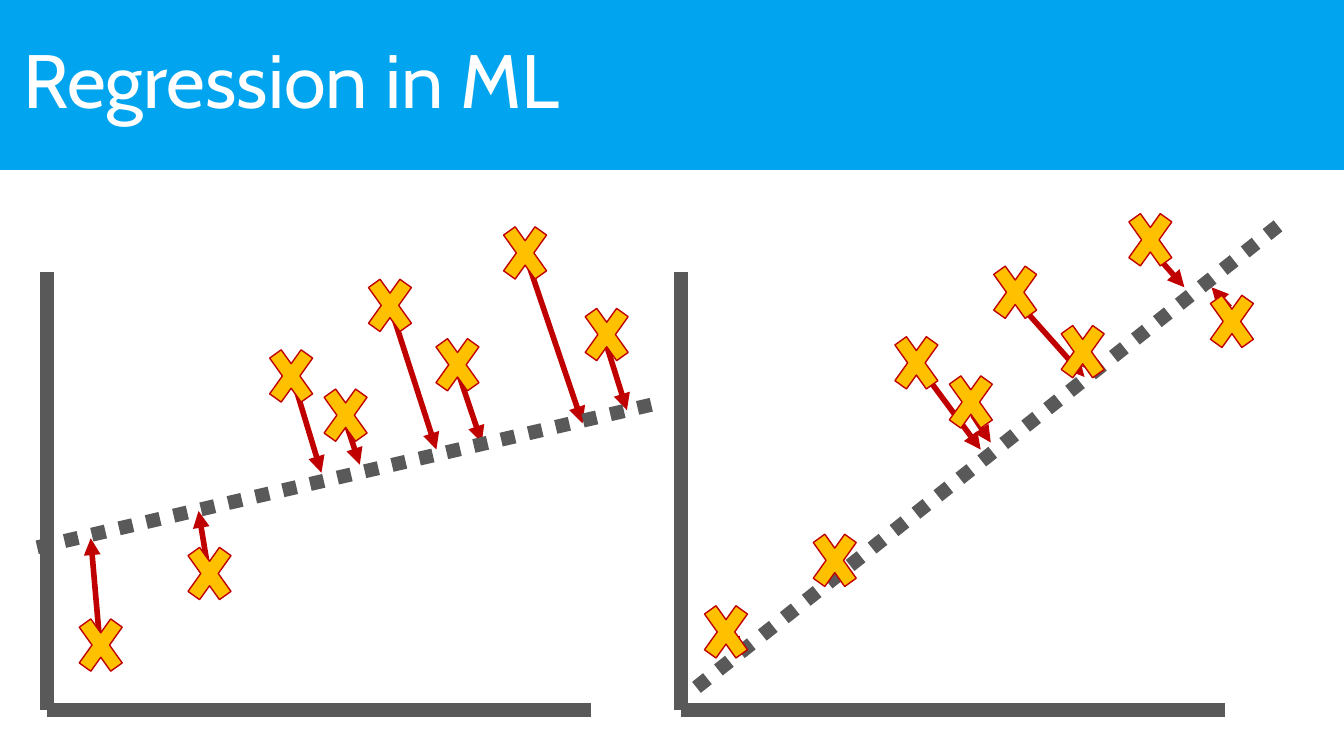
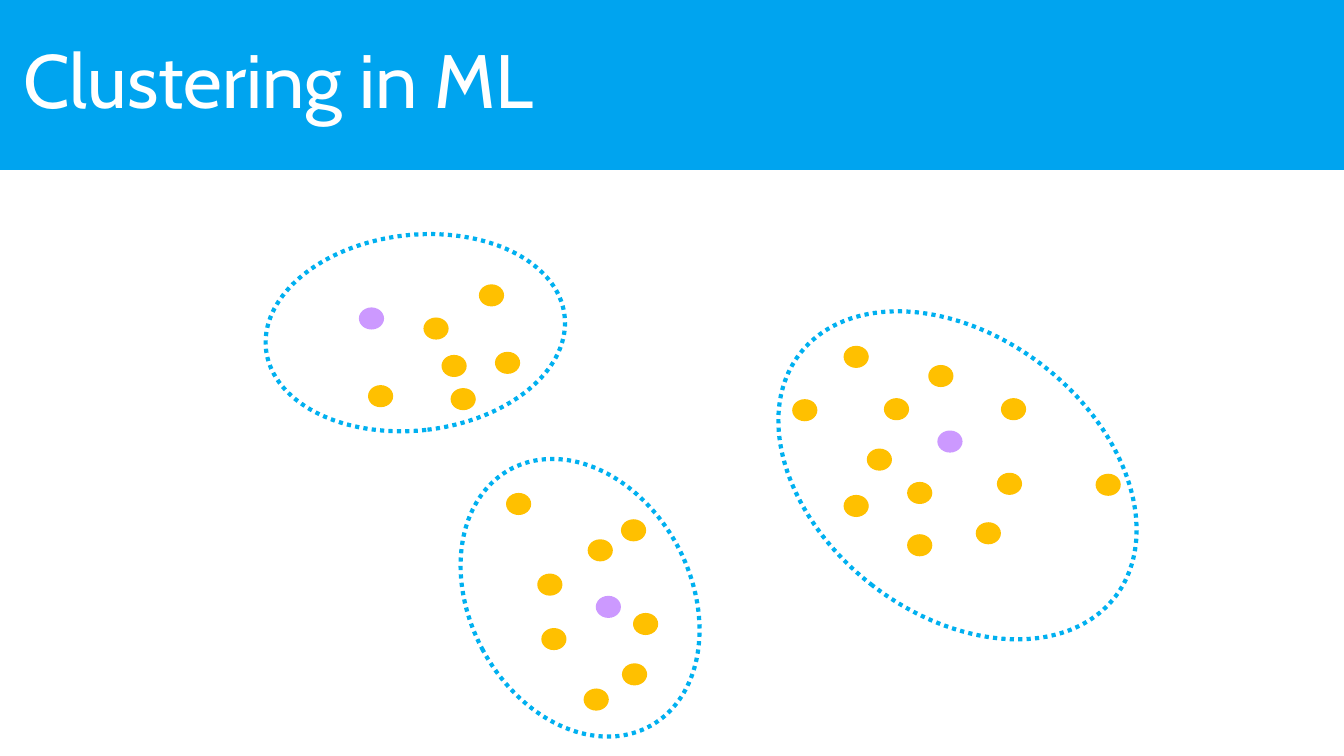
import pptx
import pptx.dml.color
import pptx.enum.dml
import pptx.enum.shapes
import pptx.enum.text
import pptx.oxml.ns
import pptx.util
from lxml import etree

Pt = pptx.util.Pt
RGB = pptx.dml.color.RGBColor
SHAPE = pptx.enum.shapes.MSO_SHAPE
DOTTED = pptx.enum.dml.MSO_LINE.ROUND_DOT

BLUE = RGB(0x00, 0xA4, 0xEF)
SKY = RGB(0x00, 0xB0, 0xF0)
WHITE = RGB(0xFF, 0xFF, 0xFF)
GREY = RGB(0x59, 0x59, 0x59)
RED = RGB(0xC0, 0x00, 0x00)
GOLD = RGB(0xFF, 0xC0, 0x00)
LILAC = RGB(0xCC, 0x99, 0xFF)

FONT = "Cabin"
WIDTH, HEIGHT = 960, 540
BAND_HEIGHT = 121
CROSS = (43.2, 60.5)
DOT = (18, 15.8)


# Shared drawing helpers
def add_shape(s, kind, box, fill=None, line=None, weight=1):
    sp = s.shapes.add_shape(kind, *map(Pt, box))
    sp.shadow.inherit = False
    if fill is None:
        sp.fill.background()
    else:
        sp.fill.solid()
        sp.fill.fore_color.rgb = fill
    if line is None:
        sp.line.fill.background()
    else:
        sp.line.color.rgb = line
        sp.line.width = Pt(weight)
    return sp


def add_centred(s, kind, x, y, size, **style):
    w, h = size
    return add_shape(s, kind, (x - w / 2, y - h / 2, w, h), **style)


def add_line(s, origin, ends, color, weight, dotted=False, arrow=False):
    left, top = origin
    x1, y1, x2, y2 = ends
    line = s.shapes.add_connector(
        pptx.enum.shapes.MSO_CONNECTOR.STRAIGHT,
        Pt(left + x1), Pt(top + y1), Pt(left + x2), Pt(top + y2))
    line.line.color.rgb = color
    line.line.width = Pt(weight)
    if dotted:
        line.line.dash_style = DOTTED
    qn = pptx.oxml.ns.qn
    if arrow:
        etree.SubElement(line.line._get_or_add_ln(), qn("a:tailEnd"), type="triangle")
    etree.SubElement(line._element.spPr, qn("a:effectLst"))


# Title band
def add_title(s, box, text):
    left, top, w, h = box
    add_shape(s, SHAPE.RECTANGLE, box, fill=BLUE, line=BLUE)
    sp = s.shapes.add_textbox(Pt(left + 9.4), Pt(top + 7.9), Pt(w - 132), Pt(h - 16.6))
    tf = sp.text_frame
    tf.word_wrap = True
    tf.vertical_anchor = pptx.enum.text.MSO_ANCHOR.MIDDLE
    p = tf.paragraphs[0]
    p.text = text
    p.line_spacing = 0.9
    p.font.name = FONT
    p.font.size = Pt(54)
    p.font.color.rgb = WHITE


def new_slide(prs, title):
    s = prs.slides.add_slide(prs.slide_layouts[6])
    add_title(s, (0, 0, WIDTH, BAND_HEIGHT), title)
    return s


# Regression plot: axes, dotted trend line, error arrows and crosses
def add_plot(s, box, trend, arrows, crosses, shift=(0, 0), arrows_on_top=False):
    left, top, w, h = box
    origin = left, top

    def add_arrows():
        for ends in arrows:
            add_line(s, origin, ends, RED, 4, arrow=True)

    if not arrows_on_top:
        add_arrows()
    add_line(s, origin, (0, 0, 0, h), GREY, 10)
    add_line(s, origin, (w, h, 0, h), GREY, 10)
    add_line(s, origin, trend, GREY, 10, dotted=True)
    if arrows_on_top:
        add_arrows()
    for x, y in crosses:
        add_centred(s, SHAPE.MATH_MULTIPLY, left + x + shift[0], top + y + shift[1],
                    CROSS, fill=GOLD, line=RED)


# Cluster: dots and centroid placed from the centre of a dotted ellipse
def add_cluster(s, box, rotation, dots, centroid):
    left, top, w, h = box
    cx, cy = left + w / 2, top + h / 2
    for x, y in dots:
        add_centred(s, SHAPE.OVAL, cx + x, cy + y, DOT, fill=GOLD)
    x, y = centroid
    add_centred(s, SHAPE.OVAL, cx + x, cy + y, DOT, fill=LILAC)
    outline = add_shape(s, SHAPE.OVAL, box, line=SKY, weight=3)
    outline.line.dash_style = DOTTED
    outline.rotation = rotation


SAMPLES = [(213.1, 102.2), (293, 66.2), (115.9, 215.3), (399.6, 44.6),
           (244.8, 23.8), (38.2, 266.4), (174.2, 74.2), (341.3, -13.7)]
POOR_FIT = (-7.2, 196.6, 439.2, 92.9)
POOR_FIT_ERRORS = [
    (247, 31, 277.9, 126.7), (344.2, -4.3, 382.3, 108),
    (398.9, 50.4, 414, 98.6), (175, 74.9, 195.8, 143.3),
    (214.6, 111.6, 223.2, 137.5), (114.5, 210.2, 108, 170.6),
    (37.4, 263.5, 31, 190.1), (291.6, 66.2, 310.3, 121.7)]
GOOD_FIT = (10.8, 296.6, 426.2, -33.1)
GOOD_FIT_ERRORS = [
    (240.5, 21.6, 288, 74.9), (337.7, -13.7, 359.3, 10.8),
    (391.7, 25.2, 378.7, 10.8), (168.5, 65.5, 213.8, 126.7),
    (208.1, 102.2, 221, 121.7), (108, 200.9, 114.5, 210.2),
    (31, 254.2, 43.2, 272.9), (285.1, 56.9, 298.1, 72.7)]

# Each cluster: ellipse box, rotation, dots, centroid
CLUSTERS = [
    ((226.8, 130.3, 139.7, 214.6), 263.6,
     [(-24.8, 45.4), (65.9, 21.6), (34.2, 47.5), (27.7, 23.8),
      (14.8, -2.9), (54.4, -26.6)],
     (-31.3, -10.1)),
    ((335.5, 322.6, 157.7, 208.8), 331.5,
     [(14.4, -33.9), (-21.6, -9.4), (38.2, -48.2), (-18.7, 29.5),
      (46.8, 18.7), (38.9, 54.7), (11.5, 72.7), (-43.9, -67)],
     (20.2, 6.5)),
    ((584.6, 197.3, 198.7, 284.4), 307.6,
     [(-11.9, -70.9), (40, -47.2), (-43.6, -47.2), (37.1, 6.1),
      (-55.8, -11.2), (-109.1, -46.5), (-27, 12.6), (-72.4, 21.9),
      (22, 41.4), (-27, 50), (-72.4, -84.6), (107.6, 6.8)],
     (-5.4, -24.1)),
]

prs = pptx.Presentation()
prs.slide_width, prs.slide_height = Pt(WIDTH), Pt(HEIGHT)

s = new_slide(prs, "Regression in ML")
add_plot(s, (33.8, 194.4, 388, 312.5), POOR_FIT, POOR_FIT_ERRORS, SAMPLES)
add_plot(s, (486.7, 194.4, 388, 312.5), GOOD_FIT, GOOD_FIT_ERRORS, SAMPLES,
         shift=(-6.3, -9.4), arrows_on_top=True)

s = new_slide(prs, "Clustering in ML")
for cluster in CLUSTERS:
    add_cluster(s, *cluster)

prs.save("out.pptx")
